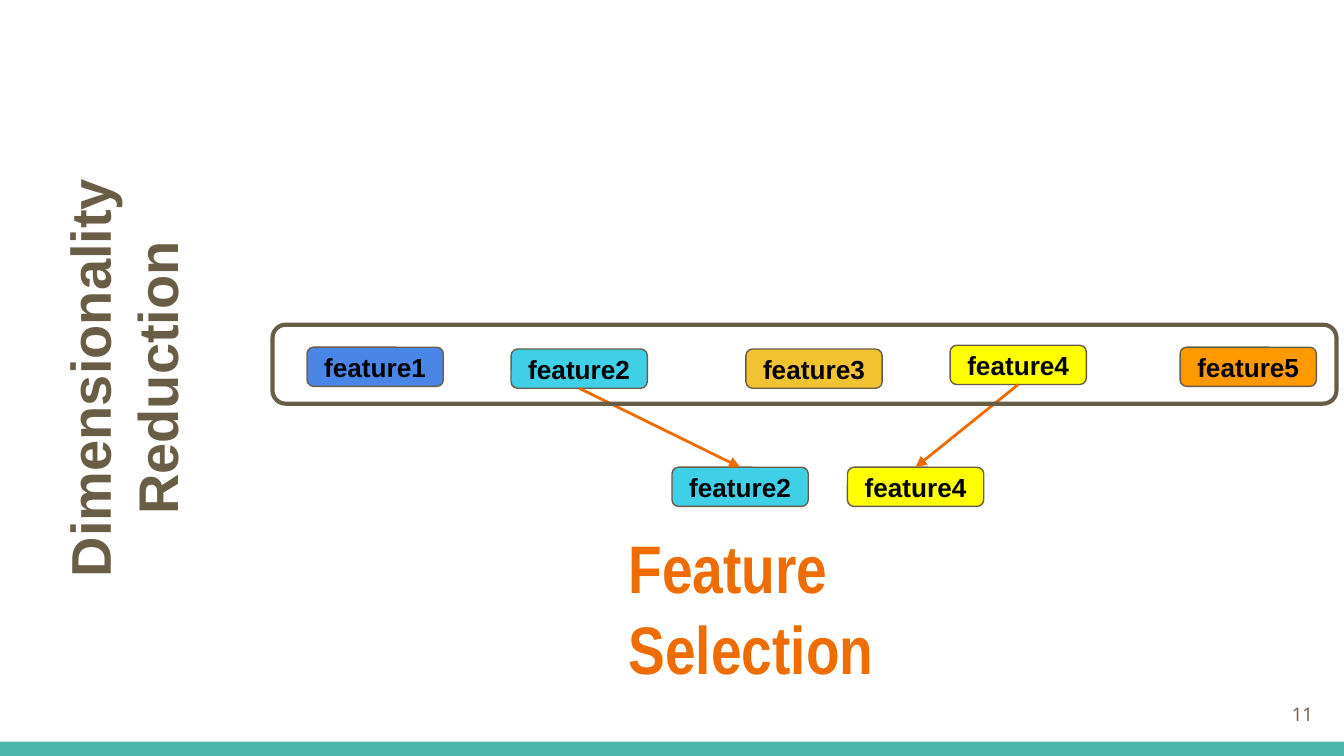
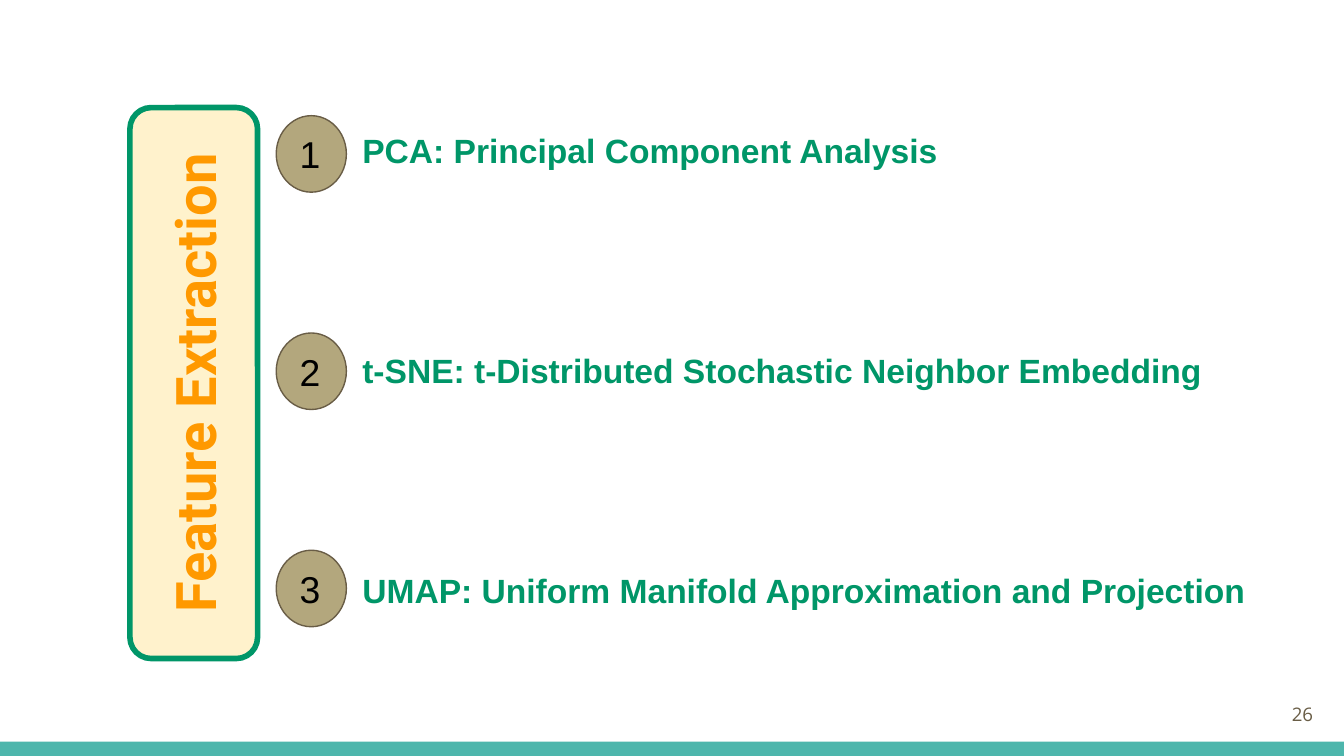
from lxml import etree
from pptx import Presentation
from pptx.dml.color import RGBColor
from pptx.enum.shapes import MSO_CONNECTOR, MSO_SHAPE
from pptx.enum.text import MSO_ANCHOR, MSO_AUTO_SIZE, PP_ALIGN
from pptx.oxml.ns import qn
from pptx.util import Pt

LEFT, CENTER, RIGHT = PP_ALIGN.LEFT, PP_ALIGN.CENTER, PP_ALIGN.RIGHT
TOP, MIDDLE = MSO_ANCHOR.TOP, MSO_ANCHOR.MIDDLE
NO_FIT = MSO_AUTO_SIZE.NONE
RECT, ROUNDED = MSO_SHAPE.RECTANGLE, MSO_SHAPE.ROUNDED_RECTANGLE
CIRCLE = MSO_SHAPE.FLOWCHART_CONNECTOR
STRAIGHT = MSO_CONNECTOR.STRAIGHT
TITLE_ONLY, BLANK = 5, 6
BOTTOM_SITE, TOP_SITE = 2, 0

WIDTH, HEIGHT = 720, 405
INSET = 7.2
CHIP_SIZE = (73, 21)
COLORS = {
    "white": "FFFFFF", "black": "000000", "teal": "4DB6AC", "brown": "695D46",
    "orange": "EF6C00", "amber": "FF9900", "cream": "FFF2CC", "green": "009668",
    "khaki": "B3A77D", "blue": "4A86E8", "cyan": "3FD0E8", "gold": "F1C232",
    "yellow": "FFFF00",
}


def rgb(name):
    return RGBColor.from_string(COLORS[name])


class Deck:
    """Holds the shared style and the slide being drawn."""

    def __init__(self):
        self.prs = Presentation()
        self.prs.slide_width, self.prs.slide_height = Pt(WIDTH), Pt(HEIGHT)
        self.slide = None

    def new_slide(self, layout, number):
        self.slide = self.prs.slides.add_slide(self.prs.slide_layouts[layout])
        self.shape(RECT, (0, 397.3, WIDTH, 7.7), fill="teal")
        self.label(number, (667.5, 367, 43, 31), 10, "brown", font="Open Sans",
                   bold=False, align=RIGHT, anchor=MIDDLE)

    def set_text(self, shape, text, size, color, font="Arial", bold=True,
                 align=LEFT, anchor=TOP):
        frame = shape.text_frame
        frame.text = text
        frame.word_wrap = True
        frame.auto_size = NO_FIT
        frame.vertical_anchor = anchor
        frame.margin_left = frame.margin_right = Pt(INSET)
        frame.margin_top = frame.margin_bottom = Pt(INSET)
        paragraph = frame.paragraphs[0]
        paragraph.alignment = align
        paragraph.font.size, paragraph.font.name = Pt(size), font
        paragraph.font.bold = bold
        paragraph.font.color.rgb = rgb(color)

    def title(self, text, box):
        title = self.slide.shapes.title
        title.left, title.top, title.width, title.height = map(Pt, box)
        self.set_text(title, text, 36, "orange", font="Arial Narrow")

    def label(self, text, box, size, color, rotation=0, **style):
        label = self.slide.shapes.add_textbox(*map(Pt, box))
        label.rotation = rotation
        self.set_text(label, text, size, color, **style)

    def shape(self, kind, box, fill=None, line=None, line_width=0.75):
        shape = self.slide.shapes.add_shape(kind, *map(Pt, box))
        shape.shadow.inherit = False
        if fill:
            shape.fill.solid()
            shape.fill.fore_color.rgb = rgb(fill)
        else:
            shape.fill.background()
        if line:
            shape.line.color.rgb = rgb(line)
            shape.line.width = Pt(line_width)
        else:
            shape.line.fill.background()
        return shape

    def chip(self, text, left, top, fill):
        chip = self.shape(ROUNDED, (left, top, *CHIP_SIZE), fill, "brown")
        self.set_text(chip, text, 14, "black", align=CENTER, anchor=MIDDLE)
        return chip

    def arrow(self, start, end):
        """Point from the bottom of one shape to the top of another."""
        arrow = self.slide.shapes.add_connector(STRAIGHT, 0, 0, 0, 0)
        arrow.begin_connect(start, BOTTOM_SITE)
        arrow.end_connect(end, TOP_SITE)
        arrow.line.color.rgb = rgb("orange")
        arrow.line.width = Pt(1.5)
        properties = arrow._element.spPr
        etree.SubElement(properties.find(qn("a:ln")), qn("a:tailEnd"), type="triangle")
        etree.SubElement(properties, qn("a:effectLst"))


def feature_selection(deck):
    deck.new_slide(TITLE_ONLY, "11")
    deck.title("Feature Selection", (329.5, 275, 255, 55.5))
    features = [
        ("feature1", 164.5, 186, "blue"),
        ("feature2", 273.8, 187, "cyan"),
        ("feature3", 399.6, 187, "gold"),
        ("feature4", 509, 185, "yellow"),
        ("feature5", 632.2, 186, "amber"),
    ]
    selected = {"feature2": 360, "feature4": 454}
    for name, left, top, fill in features:
        feature = deck.chip(name, left, top, fill)
        if name in selected:
            deck.arrow(feature, deck.chip(name, selected[name], 250.3, fill))
    deck.label("Dimensionality Reduction", (-81.4, 187, 238.3, 31), 30, "brown",
               rotation=270, align=CENTER)
    deck.shape(ROUNDED, (146, 174, 570, 42.3), line="brown", line_width=2.25)


def feature_extraction(deck):
    deck.new_slide(BLANK, "26")
    heading = deck.shape(ROUNDED, (-43.8, 171, 295.2, 68.4), "cream", "green", 3)
    heading.rotation = 270
    deck.set_text(heading, "Feature Extraction", 30, "amber", font="Roboto",
                  align=CENTER, anchor=MIDDLE)
    methods = [
        ("PCA: Principal Component Analysis", 339),
        ("t-SNE: t-Distributed Stochastic Neighbor Embedding", 480),
        ("UMAP: Uniform Manifold Approximation and Projection", 511),
    ]
    for row, (method, width) in enumerate(methods):
        entry = deck.shape(RECT, (187, 62.5 + 117.8 * row, width, 34.5), line="white")
        deck.set_text(entry, method, 18, "green")
        badge = deck.shape(CIRCLE, (148, 62 + 116.4 * row, 37.6, 41), "khaki", "brown")
        deck.set_text(badge, str(row + 1), 20, "black", bold=False, anchor=MIDDLE)


def main():
    deck = Deck()
    feature_selection(deck)
    feature_extraction(deck)
    deck.prs.save("out.pptx")


if __name__ == "__main__":
    main()
